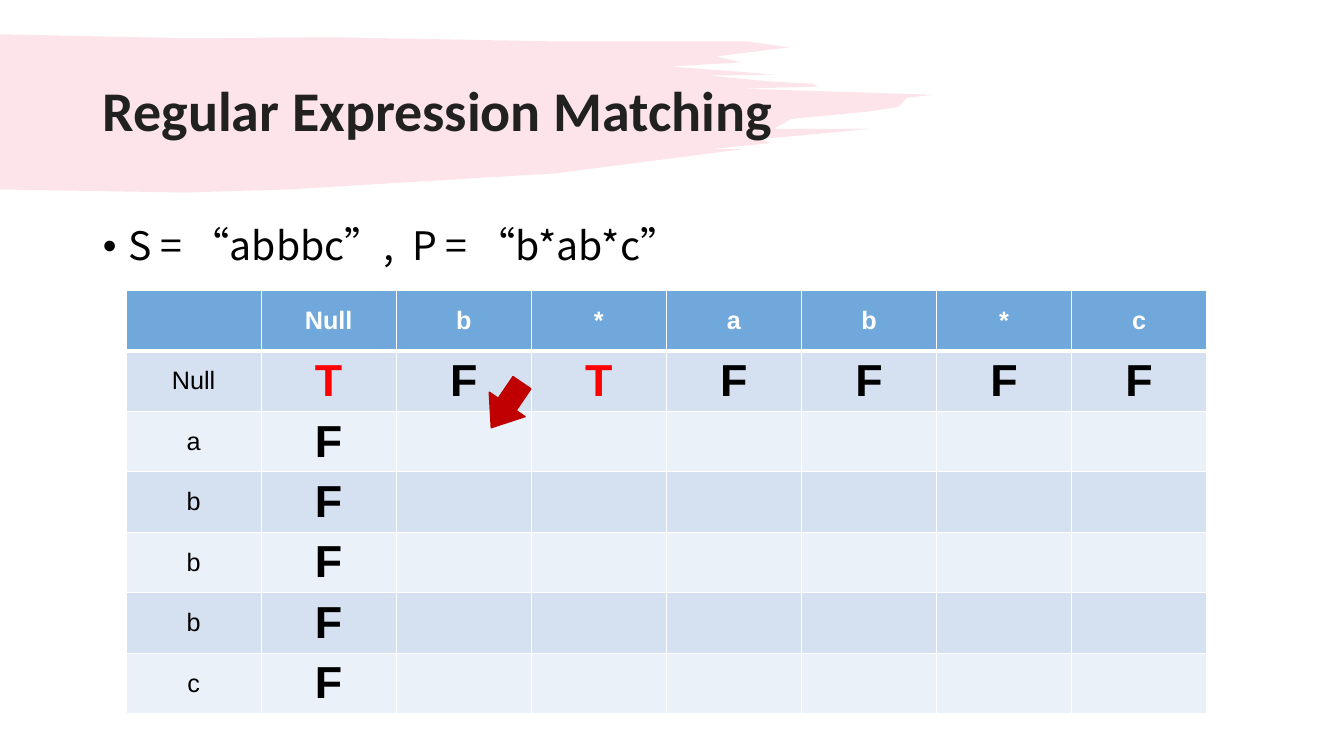
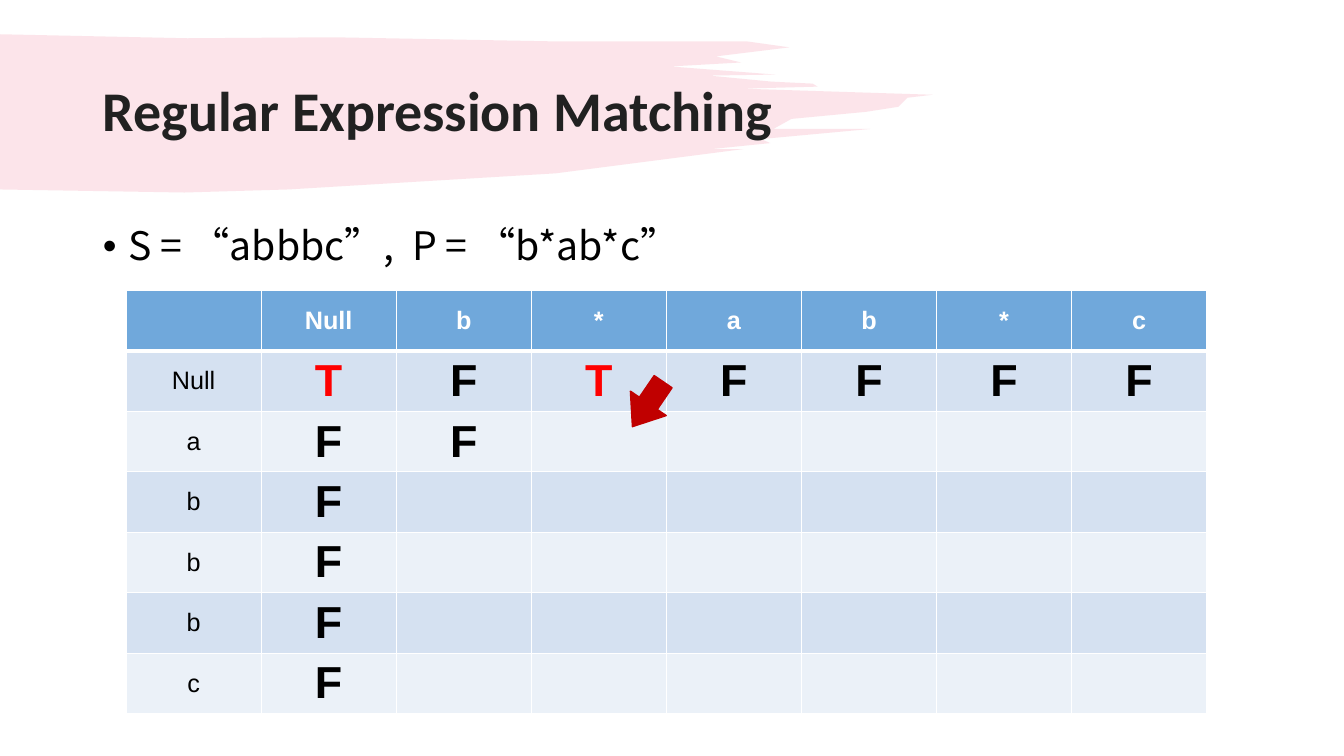
import pptx
import pptx.dml.color
import pptx.enum.shapes
import pptx.enum.text
import pptx.oxml
import pptx.oxml.ns
import pptx.util
from lxml import etree

Inches, Pt, qn = pptx.util.Inches, pptx.util.Pt, pptx.oxml.ns.qn
ALIGN, ANCHOR = pptx.enum.text.PP_ALIGN, pptx.enum.text.MSO_ANCHOR

# Content
TITLE = "Regular Expression Matching"
BULLET = "S = “abbbc”,  P = “b*ab*c”"
PATTERN = ["Null", "b", "*", "a", "b", "*", "c"]
STRING = ["Null", "a", "b", "b", "b", "c"]
SLIDES = [  # known values row by row, and the arrow's left and top
    {"known": ["TFTFFFF", "F", "F", "F", "F", "F"], "arrow": (4.81, 3.75)},
    {"known": ["TFTFFFF", "FF", "F", "F", "F", "F"], "arrow": (6.21, 3.74)},
]

# Shared look
PINK, INK, BLACK, WHITE = "F07C98", "212121", "000000", "FFFFFF"
HEADER, BANDS = "70A8DB", ("D5E1F1", "EBF1F8")
RED, ARROW = "FF0000", "C00000"
TABLE_LEFT, TABLE_TOP, COL_W, ROW_H = 1.25, 2.88, 1.34, 0.6

# Brush stroke outline: top edge, ragged tip, bottom edge
BRUSH = [
    (0, 0.34), (1.86, 0.38), (3.3, 0.37), (5.44, 0.41), (7.4, 0.41), (7.83, 0.47),
    (7.1, 0.56), (7.35, 0.62), (6.65, 0.66), (7.69, 0.74), (7.03, 0.75),
    (7.65, 0.81), (8.06, 0.83), (8.11, 0.86), (7.36, 0.88), (9.25, 0.94),
    (9, 0.97), (8.91, 1.06), (8.59, 1.11), (7.85, 1.18), (7.67, 1.28),
    (8.63, 1.28), (7.55, 1.38), (7.64, 1.42), (7.05, 1.48), (7.37, 1.48),
    (5.51, 1.72), (2.86, 1.88), (1.83, 1.91), (0, 1.88),
]


def rgb(color):
    return pptx.dml.color.RGBColor.from_string(color)


def paint(fill, color):
    fill.solid()
    fill.fore_color.rgb = rgb(color)


def style(p, size, font, color, bold=False):
    for r in p.runs:
        r.font.size, r.font.bold, r.font.name = Pt(size), bold, font
        r.font.color.rgb = rgb(color)


def add_brush(s, layout):
    """Draw the brush stroke and move it behind everything on the layout."""
    points = [(Inches(x), Inches(y)) for x, y in BRUSH]
    builder = s.shapes.build_freeform(*points[0])
    builder.add_line_segments(points[1:], close=True)
    sp = builder.convert_to_shape()
    sp.shadow.inherit = False
    paint(sp.fill, PINK)
    sp.line.fill.background()
    color = sp._element.spPr.find(".//" + qn("a:srgbClr"))
    etree.SubElement(color, qn("a:alpha")).set("val", "20000")
    sp._element.nvSpPr.cNvPr.set("id", "20")
    layout.shapes._spTree.insert(2, sp._element)


def place(sp, left, top, width, height):
    sp.left, sp.top, sp.width, sp.height = map(Inches, (left, top, width, height))


def add_texts(s):
    tf = s.shapes.title.text_frame
    tf.text = TITLE
    tf.vertical_anchor = ANCHOR.MIDDLE
    p = tf.paragraphs[0]
    p.alignment, p.line_spacing = ALIGN.LEFT, 0.9
    style(p, 40, "Calibri", INK, True)

    tf = s.placeholders[1].text_frame
    tf.text = BULLET
    p = tf.paragraphs[0]
    p.line_spacing, p.space_before = 0.9, Pt(0)
    pPr = p._p.get_or_add_pPr()
    pPr.set("marL", str(Inches(0.25)))
    pPr.set("indent", str(Inches(-0.25)))
    etree.SubElement(pPr, qn("a:buFont")).set("typeface", "Arial")
    etree.SubElement(pPr, qn("a:buChar")).set("char", "•")
    style(p, 28, "Noto Sans CJK TC", BLACK)
    rPr = p.runs[0]._r.get_or_add_rPr()
    etree.SubElement(rPr, qn("a:ea")).set("typeface", "Noto Sans CJK TC")


def set_borders(cell, top, bottom):
    tcPr = cell._tc.get_or_add_tcPr()
    for i, (side, width) in enumerate((("L", 1), ("R", 1), ("T", top), ("B", bottom))):
        ln = etree.Element(qn("a:ln" + side), w=str(Pt(width)))
        fill = etree.SubElement(ln, qn("a:solidFill"))
        etree.SubElement(fill, qn("a:srgbClr")).set("val", WHITE)
        tcPr.insert(i, ln)


def add_match_table(s, known):
    rows = [[""] + PATTERN]
    rows += [[label, *values.ljust(len(PATTERN))] for label, values in zip(STRING, known)]
    n_rows, n_cols = len(rows), len(rows[0])
    table = s.shapes.add_table(n_rows, n_cols, Inches(TABLE_LEFT), Inches(TABLE_TOP),
                               Inches(COL_W * n_cols), Inches(ROW_H * n_rows)).table
    for i, row in enumerate(rows):
        table.rows[i].height = Inches(ROW_H)
        for j, text in enumerate(row):
            cell = table.cell(i, j)
            paint(cell.fill, BANDS[(i - 1) % 2] if i else HEADER)
            set_borders(cell, 3 if i == 1 else 1, 1 if i else 3)
            cell.vertical_anchor = ANCHOR.MIDDLE
            cell.margin_top = cell.margin_bottom = Inches(0.03)
            cell.text_frame.text = text.strip()
            p = cell.text_frame.paragraphs[0]
            p.alignment = ALIGN.CENTER
            if i == 0:
                style(p, 18, "Arial", WHITE, True)
            elif j == 0:
                style(p, 18, "Arial", BLACK)
            else:
                style(p, 32, "Arial", RED if text == "T" else BLACK, True)


def add_arrow(s, left, top):
    sp = s.shapes.add_shape(pptx.enum.shapes.MSO_SHAPE.DOWN_ARROW, Inches(left),
                            Inches(top), Inches(0.43), Inches(0.54))
    sp.adjustments[0], sp.adjustments[1] = 0.5, 0.65
    sp.rotation = 34.3
    sp.shadow.inherit = False
    paint(sp.fill, ARROW)
    paint(sp.line.fill, ARROW)
    sp.line.width = Pt(1)


def main():
    prs = pptx.Presentation()
    prs.slide_width, prs.slide_height = Inches(13.33), Inches(7.5)
    layout = prs.slide_layouts[1]
    place(layout.placeholders[0], 0.92, 0.4, 11.5, 1.45)
    place(layout.placeholders[1], 0.92, 2.2, 11.5, 4.55)
    for i, content in enumerate(SLIDES):
        s = prs.slides.add_slide(layout)
        if i == 0:
            add_brush(s, layout)
        add_texts(s)
        add_match_table(s, content["known"])
        add_arrow(s, *content["arrow"])
    prs.save("out.pptx")


if __name__ == "__main__":
    main()
